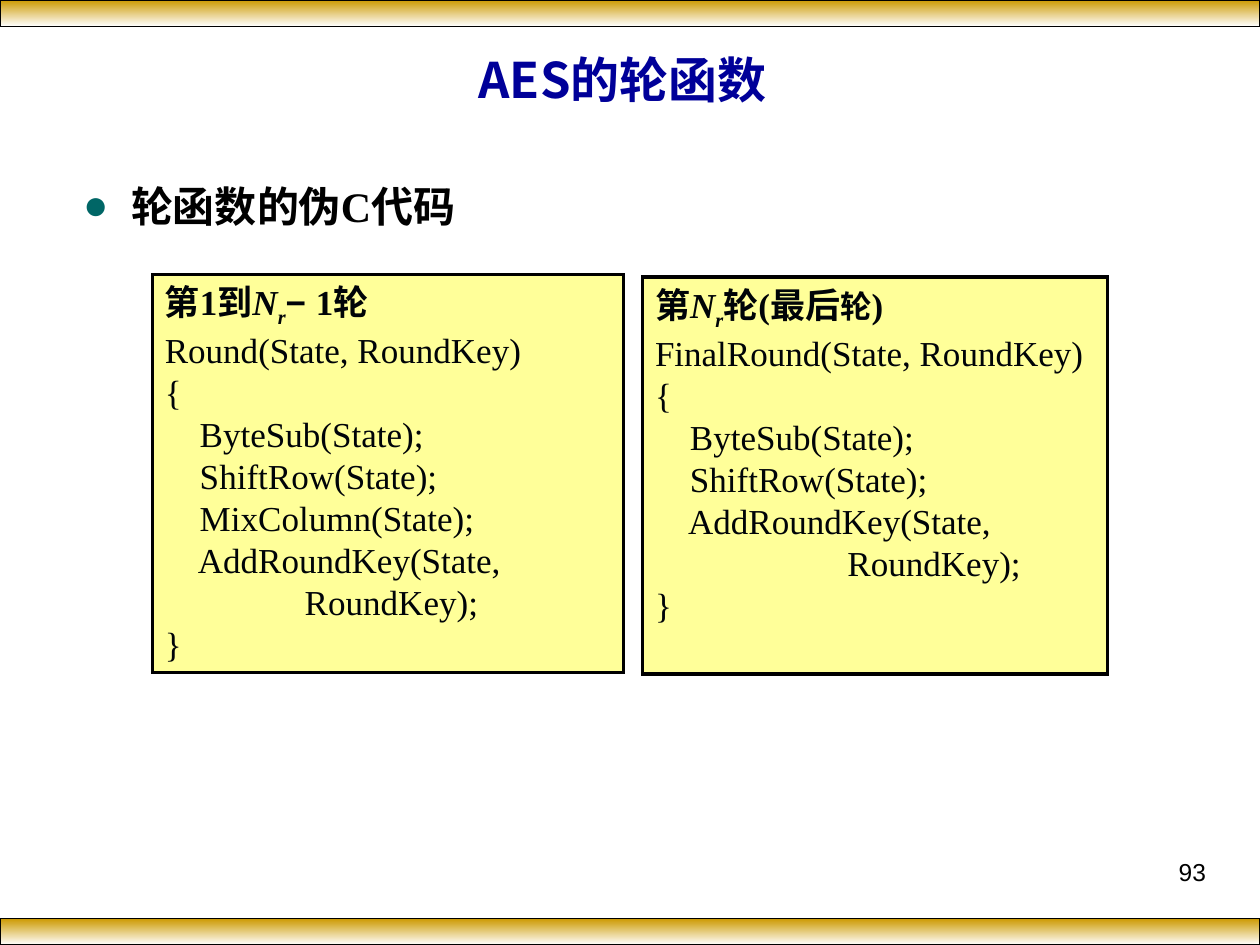
from lxml import etree
from pptx import Presentation
from pptx.dml.color import RGBColor
from pptx.enum.shapes import MSO_SHAPE
from pptx.enum.text import MSO_ANCHOR, MSO_AUTO_SIZE, PP_ALIGN
from pptx.oxml.ns import qn
from pptx.util import Inches, Pt

SANS, SERIF, CJK = "Arial", "Times New Roman", "Noto Sans CJK SC"
INK = "000408"
SUB = {"italic": True, "base": -25}

# Each code box: heading runs (text, format) and code lines
ROUND = (
    [("第1到", {}), ("N", {"italic": True}), ("r", SUB),
     ("− ", {"name": SANS}), ("1轮", {})],
    ["Round(State, RoundKey)", "{", "    ByteSub(State);",
     "    ShiftRow(State);", "    MixColumn(State);",
     "    AddRoundKey(State,", "                RoundKey);", "}"])
FINAL_ROUND = (
    [("第", {}), ("N", {"italic": True}), ("r", SUB),
     ("轮(最后", {}), ("轮", {"size": 18}), (")", {})],
    ["FinalRound(State, RoundKey)", "{", "    ByteSub(State);",
     "    ShiftRow(State);", "    AddRoundKey(State,",
     "                      RoundKey);", "}"])


def rgb(color):
    return RGBColor.from_string(color)


def place(sp, box):
    for name, value in zip(("left", "top", "width", "height"), box):
        setattr(sp, name, Inches(value))


def add_run(p, text, name=SERIF, size=20, color=INK, base=None, **formats):
    r = p.add_run()
    r.text = text
    values = {"name": name, "size": Pt(size), **formats}
    for key, value in values.items():
        setattr(r.font, key, value)
    r.font.color.rgb = rgb(color)
    rPr = r.font._element
    etree.SubElement(rPr, qn("a:ea")).set("typeface", CJK)
    if base:
        rPr.set("baseline", str(base * 1000))


def set_indent(p, inches):
    pPr = p._p.get_or_add_pPr()
    pPr.set("marL", str(Inches(inches)))
    pPr.set("indent", str(-Inches(inches)))
    return pPr


def add_rect(s, box, line_width):
    sp = s.shapes.add_shape(MSO_SHAPE.RECTANGLE, *map(Inches, box))
    sp.shadow.inherit = False
    sp.line.color.rgb = rgb("000000")
    sp.line.width = Pt(line_width)
    # Square corners
    ln = sp._element.spPr.find(qn("a:ln"))
    etree.SubElement(ln, qn("a:miter")).set("lim", "800000")
    return sp


def add_bar(s, box):
    fill = add_rect(s, box, 0.75).fill
    fill.gradient()
    fill.gradient_angle = 270
    for stop, color, position in zip(fill.gradient_stops, ("CC9900", "FFFFFF"), (0, 1)):
        stop.color.rgb = rgb(color)
        stop.position = position


def fill_title(s, box, text):
    sp = s.shapes.title
    place(sp, box)
    tf = sp.text_frame
    tf.auto_size = MSO_AUTO_SIZE.NONE
    tf.vertical_anchor = MSO_ANCHOR.MIDDLE
    p = tf.paragraphs[0]
    p.alignment = PP_ALIGN.CENTER
    add_run(p, text, CJK, 28, "000099", bold=True)


def fill_body(s, box, text):
    sp = s.placeholders[1]
    place(sp, box)
    tf = sp.text_frame
    tf.auto_size = MSO_AUTO_SIZE.NONE
    p = tf.paragraphs[0]
    p.space_before = Pt(0)
    pPr = set_indent(p, 0.38)
    color = etree.SubElement(pPr, qn("a:buClr"))
    etree.SubElement(color, qn("a:srgbClr")).set("val", "006666")
    etree.SubElement(pPr, qn("a:buChar")).set("char", "●")
    add_run(p, text, SERIF, 24, "000000", bold=True)


def add_code_box(s, box, heading, lines):
    sp = add_rect(s, box, 2)
    sp.fill.solid()
    sp.fill.fore_color.rgb = rgb("FFFF99")
    tf = sp.text_frame
    tf.word_wrap = True
    tf.vertical_anchor = MSO_ANCHOR.TOP
    rows = [[(text, {"bold": True, **formats}) for text, formats in heading]]
    rows += [[(line, {})] for line in lines]
    for i, runs in enumerate(rows):
        p = tf.add_paragraph() if i else tf.paragraphs[0]
        p.alignment = PP_ALIGN.JUSTIFY
        set_indent(p, 0.5)
        for text, formats in runs:
            add_run(p, text, **formats)


def add_page_number(s, box, number):
    tf = s.shapes.add_textbox(*map(Inches, box)).text_frame
    tf.word_wrap = True
    p = tf.paragraphs[0]
    p.alignment = PP_ALIGN.RIGHT
    add_run(p, number, SANS, 14, "000000")


def main():
    prs = Presentation()
    prs.slide_width, prs.slide_height = Inches(10), Inches(7.5)
    s = prs.slides.add_slide(prs.slide_layouts[1])

    # Gold bars at the top and bottom edges
    for top in (0, 7.29):
        add_bar(s, (0, top, 10, 0.21))

    # Title, bullet and page number
    fill_title(s, (0.27, 0.32, 9.34, 0.62), "AES的轮函数")
    fill_body(s, (0.56, 1.38, 8.39, 0.5), "轮函数的伪C代码")
    add_page_number(s, (7.17, 6.75, 2.5, 0.52), "93")

    # Pseudocode side by side
    add_code_box(s, (1.21, 2.18, 3.74, 3.16), *ROUND)
    add_code_box(s, (5.1, 2.2, 3.69, 3.15), *FINAL_ROUND)

    prs.save("out.pptx")


if __name__ == "__main__":
    main()
